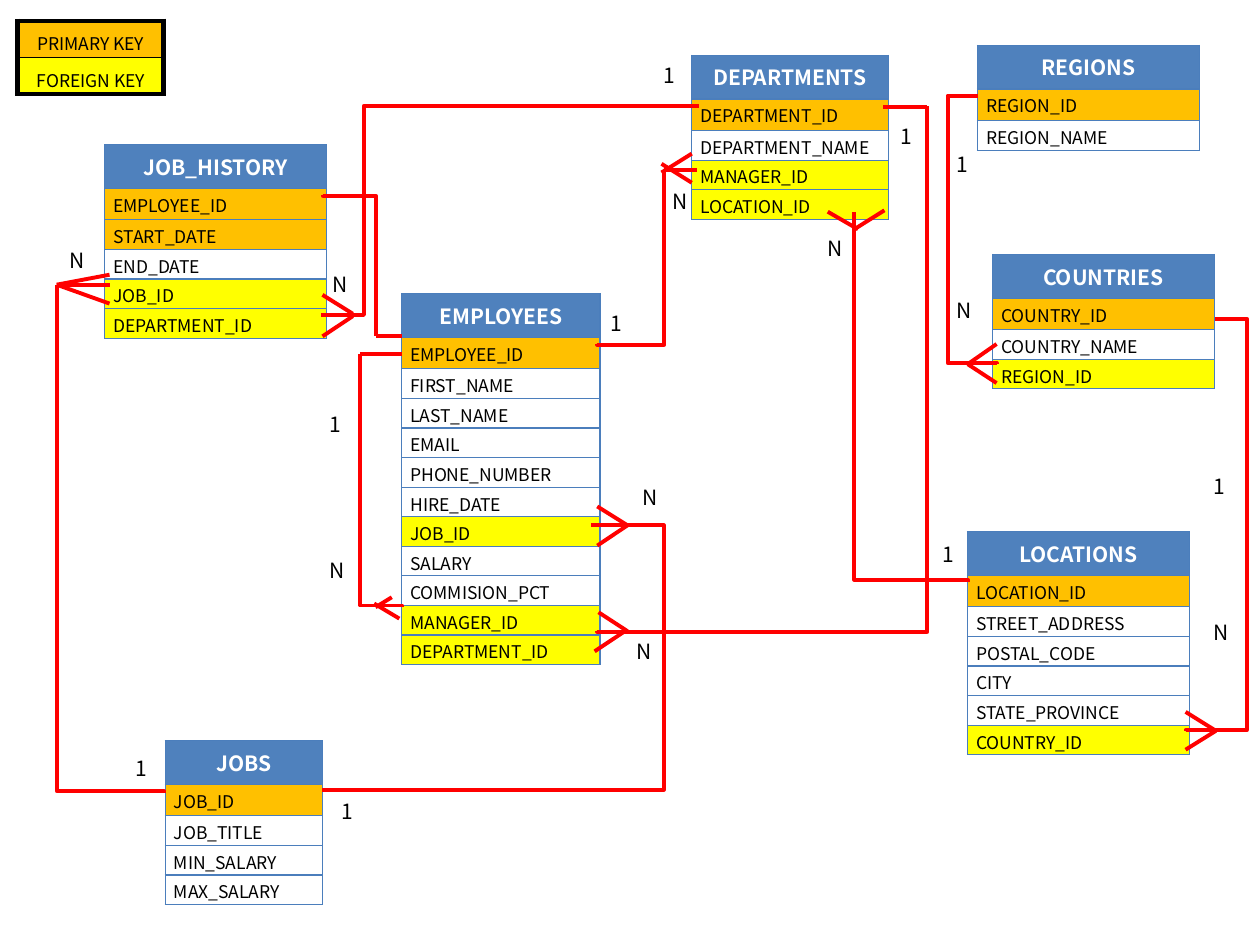
from lxml import etree
from pptx import Presentation
from pptx.dml.color import RGBColor
from pptx.enum.shapes import MSO_CONNECTOR
from pptx.enum.text import PP_ALIGN
from pptx.oxml import parse_xml
from pptx.oxml.ns import qn, nsdecls
from pptx.util import Pt

FONT = "Noto Sans CJK KR"
COLORS = {"header": "4F81BD", "border": "4B7EBC", "primary": "FFC000",
          "foreign": "FFFF00", "link": "FF0000", "black": "000000", "white": "FFFFFF"}
HEADER_H, KEY_H, FIELD_H = 25, 18, 16.9

prs = Presentation()
prs.slide_width, prs.slide_height = Pt(720), Pt(540)
slide = prs.slides.add_slide(prs.slide_layouts[6])


def draw_table(left, top, width, heights, fills, border, weight):
    table = slide.shapes.add_table(len(heights), 1, Pt(left), Pt(top),
                                   Pt(width), Pt(sum(heights))).table
    table.first_row = table.horz_banding = False
    for row, height, fill in zip(table.rows, heights, fills):
        row.height = Pt(height)
        cell = row.cells[0]
        props = cell._tc.get_or_add_tcPr()
        for side in ("lnL", "lnR", "lnT", "lnB"):
            props.append(parse_xml(
                f'<a:{side} {nsdecls("a")} w="{Pt(weight)}"><a:solidFill>'
                f'<a:srgbClr val="{COLORS[border]}"/></a:solidFill></a:{side}>'))
        if fill:
            cell.fill.solid()
            cell.fill.fore_color.rgb = RGBColor.from_string(COLORS[fill])
        else:
            cell.fill.background()
    return [row.cells[0] for row in table.rows]


def write(paragraph, text, size, color="black", bold=False, align=None, spacing=None):
    run = paragraph.add_run()
    run.text = text
    run.font.name, run.font.size, run.font.bold = FONT, Pt(size), bold
    run.font.color.rgb = RGBColor.from_string(COLORS[color])
    paragraph.alignment = align
    paragraph.line_spacing = spacing


entities = [
    ("EMPLOYEES", 229.5, 167.8, 113.4,
     "*EMPLOYEE_ID FIRST_NAME LAST_NAME EMAIL PHONE_NUMBER HIRE_DATE +JOB_ID "
     "SALARY COMMISION_PCT +MANAGER_ID +DEPARTMENT_ID"),
    ("COUNTRIES", 567.2, 145.4, 126.7, "*COUNTRY_ID COUNTRY_NAME +REGION_ID"),
    ("DEPARTMENTS", 395.2, 31.6, 112.3,
     "*DEPARTMENT_ID DEPARTMENT_NAME +MANAGER_ID +LOCATION_ID"),
    ("JOBS", 94.4, 423.2, 90, "*JOB_ID JOB_TITLE MIN_SALARY MAX_SALARY"),
    ("JOB_HISTORY", 59.9, 82.7, 126.7,
     "*EMPLOYEE_ID *START_DATE END_DATE +JOB_ID +DEPARTMENT_ID"),
    ("LOCATIONS", 552.8, 303.8, 126.7,
     "*LOCATION_ID STREET_ADDRESS POSTAL_CODE CITY STATE_PROVINCE +COUNTRY_ID"),
    ("REGIONS", 558.6, 25.9, 126.7, "*REGION_ID REGION_NAME"),
]
key_fills = {"*": "primary", "+": "foreign"}
for name, left, top, width, field_list in entities:
    fields = field_list.split()
    heights = [HEADER_H, KEY_H] + [FIELD_H] * (len(fields) - 1)
    fills = ["header"] + [key_fills.get(field[0]) for field in fields]
    header, *cells = draw_table(left, top, width, heights, fills, "border", 0.75)
    write(header.text_frame.paragraphs[0], name, 12, "white", True, PP_ALIGN.CENTER)
    for cell, field in zip(cells, fields):
        cell.margin_left = cell.margin_right = Pt(5)
        cell.margin_top = cell.margin_bottom = 0
        write(cell.text_frame.paragraphs[0], field.lstrip("*+"), 10,
              align=PP_ALIGN.JUSTIFY, spacing=1.15)

straight_links = [
    (553, 208.1, 569.5, 196.6), (553, 208.1, 569.5, 218.9),
    (488.2, 131, 505.4, 120.2), (473, 121, 490.3, 131),
    (378, 98.6, 395.3, 87.8), (378, 93.6, 395.3, 104.4),
    (214.6, 347, 223.9, 341.3), (213.8, 344.9, 228.2, 353.5),
    (341.3, 311.8, 358.6, 300.2), (341.3, 289.4, 358.6, 300.2),
    (339.8, 372.2, 357.1, 360.7), (342, 349.9, 358.6, 360.7),
    (504.7, 61.2, 529.9, 61.2),
    (32.4, 162.7, 62.6, 157), (32.4, 162.7, 62.6, 173.5), (32.4, 162.7, 62.6, 162.7),
    (184.3, 168.5, 201.6, 179.3), (184.3, 192.2, 201.6, 180.7),
    (379.4, 97.2, 398.2, 97.2), (205.9, 202.3, 229.7, 202.3),
    (677.5, 428.4, 694.8, 417.6), (677.5, 406.8, 694.8, 417.6),
    (214.6, 192.2, 229.7, 192.2),
]
elbow_links = [
    (569.5, 208.1, 558.7, 54.7, 270, "V", (0.004, 2.587)),
    (553, 332.6, 488.2, 121, 270, "V", (0.006,)),
    (229.7, 347, 205.9, 202.3, 270, "V", (0.007,)),
    (184.3, 451.4, 337.7, 300.2, 0, "V", (1.271,)),
    (341.3, 196.6, 379.4, 98.6, 90, "HV", (-0.005,)),
    (341.3, 360.7, 529.9, 60.5, 90, "HV", (-0.001,)),
    (93.6, 452.9, 32.4, 162.7, 270, "V", (0.003,)),
    (183.6, 180, 399.6, 60.5, 0, "V", (0.113,)),
    (184.3, 111.6, 214.6, 192.2, 270, "H", (0.002,)),
    (677.5, 417.6, 694.1, 182.2, 90, "HV", (0.002, 2.109)),
]
connectors = [slide.shapes.add_connector(MSO_CONNECTOR.STRAIGHT, *map(Pt, ends))
              for ends in straight_links]
for x1, y1, x2, y2, turn, flips, bends in elbow_links:
    width, height = abs(x2 - x1), abs(y2 - y1)
    if turn:
        width, height = height, width
    left, top = (x1 + x2 - width) / 2, (y1 + y2 - height) / 2
    elbow = slide.shapes.add_connector(MSO_CONNECTOR.ELBOW, Pt(left), Pt(top),
                                       Pt(left + width), Pt(top + height))
    frame = elbow._element.spPr.find(qn("a:xfrm"))
    frame.set("rot", str(turn * 60000))
    for flip in flips:
        frame.set("flip" + flip, "1")
    geometry = elbow._element.spPr.find(qn("a:prstGeom"))
    geometry.set("prst", f"bentConnector{len(bends) + 2}")
    for number, bend in enumerate(bends, 1):
        etree.SubElement(geometry.find(qn("a:avLst")), qn("a:gd"),
                         name=f"adj{number}", fmla=f"val {round(bend * 100000)}")
    connectors.append(elbow)
for connector in connectors:
    connector.line.color.rgb = RGBColor.from_string(COLORS["link"])
    connector.line.width = Pt(2.25)
    etree.SubElement(connector._element.spPr, qn("a:effectLst"))

cardinalities = [
    ("1N", 181.4, 231.8), ("1N", 539.3, 82.8), ("1N", 686.2, 267.1),
    ("1", 187.9, 452.9), ("N", 360, 273.6), ("1", 507.6, 67),
    ("N", 356.4, 361.4), ("1", 531.4, 306), ("N", 465.8, 131),
    ("N", 182.9, 151.9), ("1", 372.2, 32.4), ("N", 32.4, 138.2),
    ("1", 70.6, 428.4), ("N", 377.3, 104.4), ("1", 342, 174.2),
]
for marks, left, top in cardinalities:
    height = 108.7 if len(marks) > 1 else 21.6
    frame = slide.shapes.add_textbox(Pt(left), Pt(top), Pt(22.3), Pt(height)).text_frame
    frame.word_wrap = True
    write(frame.paragraphs[0], marks[0], 12)
    for mark in marks[1:]:
        paragraph = frame.add_paragraph()
        paragraph.space_before = Pt(69)
        write(paragraph, mark, 12)

legend = draw_table(10.1, 11.8, 83.5, [20.9, 20.9], ["primary", "foreign"], "black", 1)
for cell, label in zip(legend, ("PRIMARY KEY", "FOREIGN KEY")):
    write(cell.text_frame.paragraphs[0], label, 10, align=PP_ALIGN.CENTER, spacing=1.15)
draw_table(10.1, 11.9, 83.5, [41.8], [None], "black", 3)

prs.save("out.pptx")
